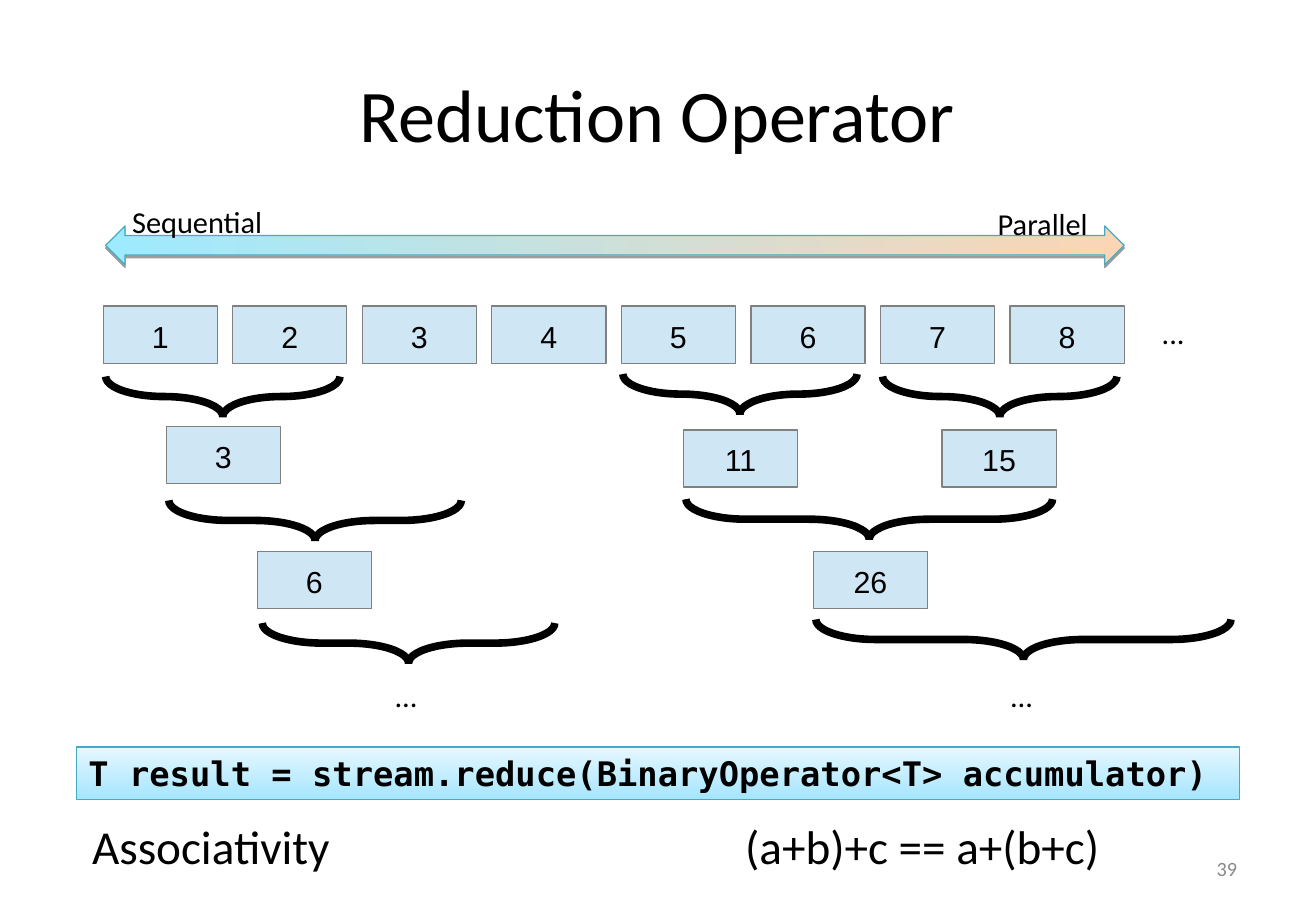
from lxml import etree
from pptx import Presentation
from pptx import util as u
from pptx.dml.color import RGBColor
from pptx.enum import shapes, text
from pptx.oxml import ns

SCALE = 9144
BLACK = RGBColor(0x00, 0x00, 0x00)
GREY = RGBColor(0x80, 0x80, 0x80)
PALE = RGBColor(0x89, 0x89, 0x89)
TEAL = RGBColor(0x46, 0xAA, 0xC5)
SKY = RGBColor(0xCF, 0xE7, 0xF5)
CYAN = RGBColor(0x9E, 0xEA, 0xFF)
PEACH = RGBColor(0xFC, 0xD5, 0xB5)
ICE = RGBColor(0xE6, 0xF7, 0xFF)
AQUA = RGBColor(0xA6, 0xE6, 0xFF)

KIND = shapes.MSO_SHAPE
ALIGN = text.PP_ALIGN
MID = text.MSO_ANCHOR.MIDDLE

NODE_W, NODE_H, BRACE_H = 94, 47, 33
NODES = [(52, 99, "3"), (478, 102, "11"), (691, 102, "15"),
         (127, 202, "6"), (585, 202, "26")]
BRACES = [(2, 58, 193), (428, 56, 193), (642, 58, 193), (54, 160, 241),
          (480, 159, 302), (587, 258, 342), (131, 261, 241)]


def px(num):
    """Turn px into EMU."""
    return u.Emu(round(num * SCALE))


def put(item, form):
    """Set each format value on an item."""
    for key, val in form.items():
        setattr(item, key, val)


def add_xml(top, tag, **form):
    """Add a drawing element below another and return it."""
    return etree.SubElement(top, ns.qn(tag), form)


def write(shape, words, size, face="Calibri", color=BLACK, bold=False,
          align=ALIGN.LEFT, inset=5, stop=None, **form):
    """Fill a shape with one styled line of text."""
    frame = shape.text_frame
    put(frame, {"word_wrap": True, "margin_left": px(10), "margin_right": px(10),
                "margin_top": px(inset), "margin_bottom": px(5), **form})
    para = frame.paragraphs[0]
    para.alignment = align
    if stop:
        tabs = add_xml(para._p.get_or_add_pPr(), "a:tabLst")
        add_xml(tabs, "a:tab", pos=str(px(stop)), algn="l")
    run = para.add_run()
    run.text = words
    put(run.font, {"size": u.Pt(size), "name": face, "bold": bold})
    run.font.color.rgb = color


def label(slide, box, words, size=18, **form):
    """Add a text box with one line."""
    write(slide.shapes.add_textbox(*map(px, box)), words, size, **form)


def draw(slide, kind, box, line, width=0.75):
    """Add a preset shape with a plain outline and no shadow."""
    shape = slide.shapes.add_shape(kind, *map(px, box))
    shape.shadow.inherit = False
    shape.line.color.rgb = line
    shape.line.width = u.Pt(width)
    return shape


def blend(shape, tones, angle):
    """Fill a shape with a two-tone gradient."""
    shape.fill.gradient()
    shape.fill.gradient_angle = angle
    for place, (stop, tone) in enumerate(zip(shape.fill.gradient_stops, tones)):
        stop.color.rgb = tone
        stop.position = place


def head(slide, box):
    """Place and style the title."""
    title = slide.shapes.title
    put(title, dict(zip(("left", "top", "width", "height"), map(px, box))))
    write(title, "Reduction Operator", 44, align=ALIGN.CENTER,
          vertical_anchor=MID)


def range_bar(slide, box):
    """Draw the two-way arrow and name its ends."""
    x, y, w, h = box
    arrow = draw(slide, KIND.LEFT_RIGHT_ARROW, box, TEAL)
    arrow.adjustments[0] = arrow.adjustments[1] = 0.5
    blend(arrow, (CYAN, PEACH), 0)
    glow = arrow._element.spPr.find(ns.qn("a:effectLst"))
    shade = add_xml(glow, "a:outerShdw", blurRad="0", dist=str(u.Pt(1.6)),
                    dir="5400000", rotWithShape="0")
    tone = add_xml(shade, "a:srgbClr", val=str(BLACK))
    add_xml(tone, "a:alpha", val="38000")
    label(slide, (x + 12, y - 24, 127, 40), "Sequential", word_wrap=False)
    label(slide, (x + w - 114, y - 22, 95, 40), "Parallel", word_wrap=False)


def node(slide, x, y, words):
    """Draw one value box."""
    shape = draw(slide, KIND.ROUNDED_RECTANGLE, (x, y, NODE_W, NODE_H), GREY)
    shape.adjustments[0] = 0
    shape.fill.solid()
    shape.fill.fore_color.rgb = SKY
    write(shape, words, 18, "Arial", align=ALIGN.CENTER, inset=7,
          vertical_anchor=MID)


def brace(slide, x, y, w):
    """Draw a brace that opens upward and points down."""
    box = (x + (w - BRACE_H) / 2, y + (BRACE_H - w) / 2, BRACE_H, w)
    shape = draw(slide, KIND.RIGHT_BRACE, box, BLACK, 4.5)
    shape.rotation = 90
    shape.adjustments[0] = 1.5
    shape.fill.background()
    add_xml(shape._element.spPr.find(ns.qn("a:ln")), "a:miter", lim="800000")


def tree(slide, box):
    """Draw the row of values and the steps that join them."""
    x, y, w, h = box
    for i in range(8):
        node(slide, x + i * 747 / 7, y, str(i + 1))
    label(slide, (x + 862, y, 85, 38), "...", inset=7)
    for left, top, words in NODES:
        node(slide, x + left, y + top, words)
    for left, top, wide in BRACES:
        brace(slide, x + left, y + top, wide)
    for left in (231, 738):
        label(slide, (x + left, y + h - 40, 37, 40), "…", word_wrap=False)


def code_bar(slide, box):
    """Draw the band with the line of code."""
    bar = draw(slide, KIND.RECTANGLE, box, TEAL)
    blend(bar, (ICE, AQUA), 270)
    write(bar, "T result = stream.reduce(BinaryOperator<T> accumulator)", 20,
          "DejaVu Sans Mono", bold=True, vertical_anchor=text.MSO_ANCHOR.TOP)


def main():
    """Build the slide and save it."""
    deck = Presentation()
    put(deck, {"slide_width": px(1084), "slide_height": px(750)})
    slide = deck.slides.add_slide(deck.slide_layouts[5])
    head(slide, (54, 30, 975, 125))
    label(slide, (66, 668, 975, 63), "Associativity\t(a+b)+c == a+(b+c)", 28,
          stop=538)
    tree(slide, (85, 252, 947, 341))
    range_bar(slide, (87, 186, 839, 32))
    code_bar(slide, (63, 615, 958, 43))
    label(slide, (776, 695, 253, 40), "39", 12, color=PALE, align=ALIGN.RIGHT,
          vertical_anchor=MID)
    deck.save("out.pptx")


if __name__ == "__main__":
    main()
